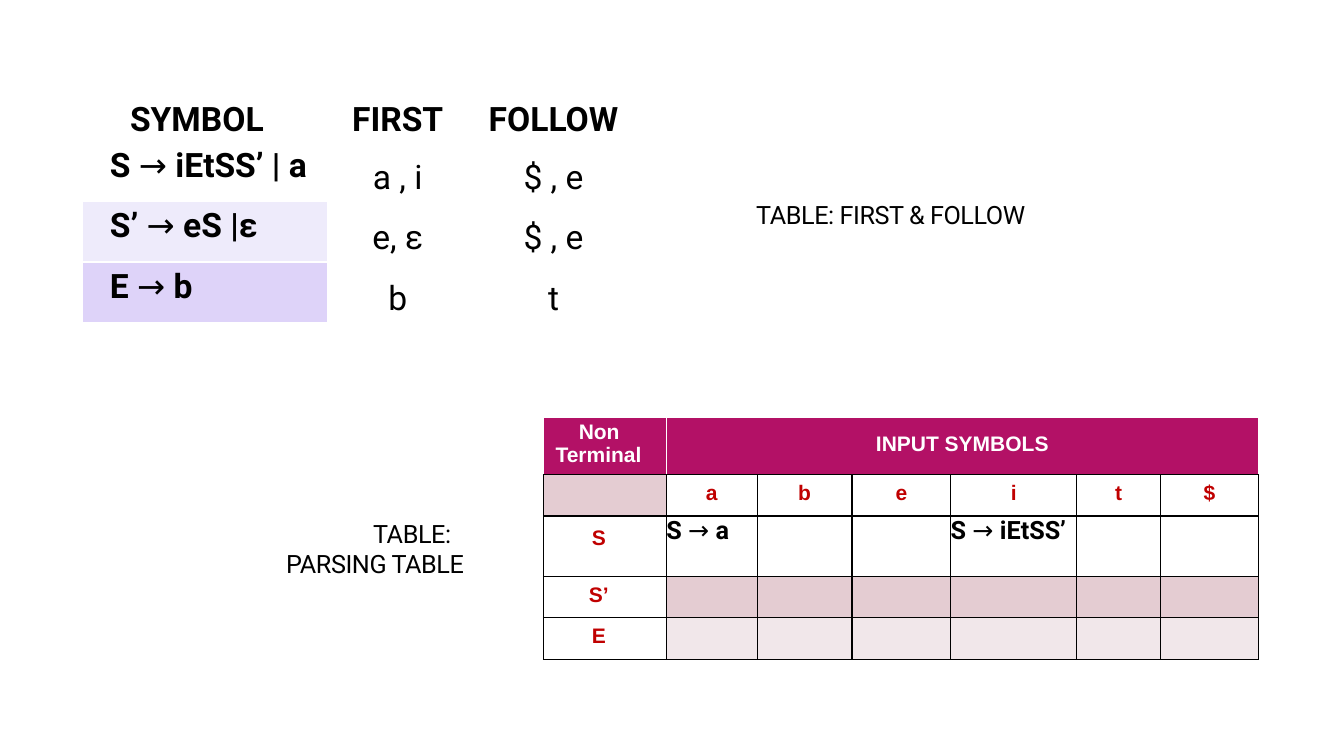
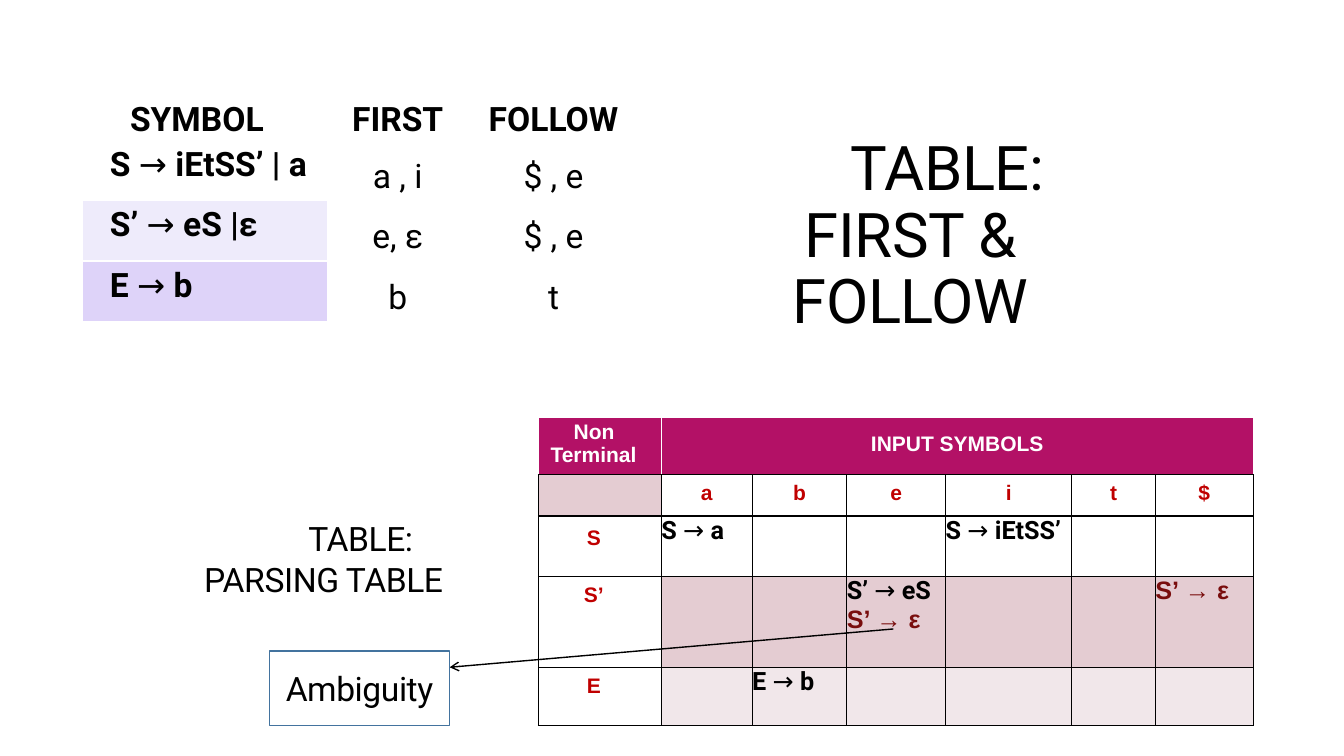
from dataclasses import dataclass

from lxml import etree
from pptx import Presentation
from pptx import util as u
from pptx.dml import color
from pptx.enum import shapes, text
from pptx.oxml import ns

# ---------- Content ----------
CAPTION_FIRST = "TABLE: FIRST & FOLLOW"
CAPTION_PARSING = "TABLE: PARSING TABLE"
SETS_HEADER = ["SYMBOL", "FIRST", "FOLLOW"]
SETS_ROWS = [
    ("S → iEtSS’ | a", "a , i", "$ , e"),
    ("S’ → eS |ε", "e, ε", "$ , e"),
    ("E → b", "b", "t"),
]
SETS_COLUMNS = [2.43, 1.39, 1.7]
SETS_HEIGHTS = [0.47, 0.6, 0.6, 0.6]

TERMINALS = ["a", "b", "e", "i", "t", "$"]
NONTERMINALS = ["S", "S’", "E"]
PARSING_COLUMNS = [1.22, 0.9, 0.94, 0.98, 1.25, 0.83, 0.97]

# Each production is (text, is it an epsilon rule)
START_RULES = {("S", "a"): [("S → a", False)],
               ("S", "i"): [("S → iEtSS’", False)]}
FULL_RULES = {**START_RULES,
              ("S’", "e"): [("S’ → eS", False), ("S’ → ε", True)],
              ("S’", "$"): [("S’ → ε", True)],
              ("E", "b"): [("E → b", False)]}

SLIDES = [
    dict(title_box=(5.22, 1.98, 5.86, 0.32), title_size=18,
         caption_box=(2.09, 5.13, 2.62, 0.62), caption_size=18,
         sets_at=(0.82, 0.93), parsing_at=(5.39, 4.14), rules=START_RULES,
         parsing_heights=[0.57, 0.41, 0.6, 0.41, 0.41]),
    dict(title_box=(6.35, 1.94, 4.72, 0.82), title_size=44,
         caption_box=(1.07, 5.13, 3.64, 0.82), caption_size=24,
         sets_at=(0.82, 0.92), parsing_at=(5.34, 4.14), rules=FULL_RULES,
         parsing_heights=[0.57, 0.41, 0.6, 0.9, 0.58],
         ambiguity=dict(label="Ambiguity", box=(2.67, 6.46, 1.79, 0.74),
                        arrow=(8.86, 6.24, 4.46, 6.62))),
]


# ---------- Theme ----------
@dataclass(frozen=True)
class Theme:
    sans: str = "Roboto"
    label: str = "Arial"
    ink: str = "000000"
    white: str = "FFFFFF"
    header: str = "B31166"
    symbol: str = "C00000"
    epsilon: str = "790D0D"
    rose: str = "E4CCD2"
    pale_rose: str = "F1E7EA"
    lilac: str = "EEEBFB"
    violet: str = "DED3F9"
    outline: str = "43739E"
    sets_size: int = 24
    rule_size: int = 18
    label_size: int = 15


T = Theme()
LEFT, CENTER = text.PP_ALIGN.LEFT, text.PP_ALIGN.CENTER
SETS_FILLS = [None, T.lilac, T.violet]
PARSING_FILLS = [None, T.rose, T.pale_rose]


# ---------- Text ----------
def rgb(value):
    return color.RGBColor.from_string(value)


def add_run(paragraph, words, size, ink=T.ink, font=T.sans, bold=False, spacing=0):
    run = paragraph.add_run()
    run.text = words
    run.font.size, run.font.name, run.font.bold = u.Pt(size), font, bold
    run.font.color.rgb = rgb(ink)
    if spacing:
        run.font._element.set("spc", str(spacing))


def add_production(paragraph, rule, size, ink=T.ink, font=T.sans):
    """Bold symbols around a regular arrow."""
    head, body = rule.split("→ ")
    for words, bold in ((head, True), ("→ ", False), (body, True)):
        add_run(paragraph, words, size, ink, font, bold)


def set_indent(paragraph, left, first):
    properties = paragraph._p.get_or_add_pPr()
    properties.set("marL", str(u.Inches(left)))
    properties.set("indent", str(u.Inches(first)))


def fill_caption(frame, words, size):
    """Centred caption whose first line is set in further."""
    frame.word_wrap = True
    frame.auto_size = text.MSO_AUTO_SIZE.SHAPE_TO_FIT_TEXT
    frame.margin_left = frame.margin_right = frame.margin_bottom = 0
    frame.margin_top = u.Inches(0.01)
    paragraph = frame.paragraphs[0]
    set_indent(paragraph, 0.64, 0.73)
    paragraph.alignment = CENTER
    add_run(paragraph, words, size, spacing=-30)
    return paragraph


# ---------- Tables ----------
def set_borders(cell, left, right, top, bottom):
    properties = cell._tc.get_or_add_tcPr()
    sides = zip(("a:lnL", "a:lnR", "a:lnT", "a:lnB"), (left, right, top, bottom))
    for place, (tag, ink) in enumerate(sides):
        line = etree.Element(ns.qn(tag), w=str(u.Pt(1)))
        solid = etree.SubElement(line, ns.qn("a:solidFill"))
        etree.SubElement(solid, ns.qn("a:srgbClr"), val=ink)
        properties.insert(place, line)


def format_cell(cell, fill=None, top=0, left=0, right=0, align=LEFT):
    """Set fill, insets and alignment; return the first paragraph."""
    if fill:
        cell.fill.solid()
        cell.fill.fore_color.rgb = rgb(fill)
    else:
        cell.fill.background()
    cell.margin_top, cell.margin_bottom = u.Inches(top), 0
    cell.margin_left, cell.margin_right = u.Inches(left), u.Inches(right)
    paragraph = cell.text_frame.paragraphs[0]
    paragraph.alignment = align
    return paragraph


def add_grid(slide, at, widths, heights):
    box = [u.Inches(v) for v in (*at, sum(widths), sum(heights))]
    grid = slide.shapes.add_table(len(heights), len(widths), *box).table
    grid.first_row = grid.horz_banding = False
    for column, width in zip(grid.columns, widths):
        column.width = u.Inches(width)
    for row, height in zip(grid.rows, heights):
        row.height = u.Inches(height)
    return grid


def add_sets_table(slide, at):
    grid = add_grid(slide, at, SETS_COLUMNS, SETS_HEIGHTS)
    for c, heading in enumerate(SETS_HEADER):
        left, align = (0.47, LEFT) if c == 0 else (0, CENTER)
        paragraph = format_cell(grid.cell(0, c), top=0.07, left=left, align=align)
        add_run(paragraph, heading, T.sets_size, bold=True)
    for r, (rule, *sets) in enumerate(SETS_ROWS, 1):
        paragraph = format_cell(grid.cell(r, 0), SETS_FILLS[r - 1], top=0.05, left=0.27)
        add_production(paragraph, rule, T.sets_size)
        for c, members in enumerate(sets, 1):
            paragraph = format_cell(grid.cell(r, c), top=0.17, align=CENTER)
            add_run(paragraph, members, T.sets_size)
    for cell in grid.iter_cells():
        set_borders(cell, *[T.white] * 4)


def add_label(paragraph, words, ink=T.symbol):
    add_run(paragraph, words, T.label_size, ink, T.label, bold=True)


def add_parsing_table(slide, at, heights, rules):
    grid = add_grid(slide, at, PARSING_COLUMNS, heights)

    # Header band
    grid.cell(0, 1).merge(grid.cell(0, len(TERMINALS)))
    corner = format_cell(grid.cell(0, 0), T.header, top=0.03)
    set_indent(corner, 0.12, 0.23)
    add_label(corner, "Non Terminal", T.white)
    band = format_cell(grid.cell(0, 1), T.header, top=0.15, align=CENTER)
    add_label(band, "INPUT SYMBOLS", T.white)

    # Terminals
    format_cell(grid.cell(1, 0), T.rose)
    for c, terminal in enumerate(TERMINALS, 1):
        add_label(format_cell(grid.cell(1, c), top=0.07, align=CENTER), terminal)

    # Productions
    for r, (nonterminal, fill) in enumerate(zip(NONTERMINALS, PARSING_FILLS), 2):
        top = 0.1 if r == 2 else 0.07
        add_label(format_cell(grid.cell(r, 0), top=top, right=0.12, align=CENTER),
                  nonterminal)
        for c, terminal in enumerate(TERMINALS, 1):
            cell = grid.cell(r, c)
            paragraph = format_cell(cell, fill)
            for i, (rule, is_epsilon) in enumerate(rules.get((nonterminal, terminal), [])):
                if i:
                    paragraph = cell.text_frame.add_paragraph()
                ink, font = (T.epsilon, T.label) if is_epsilon else (T.ink, T.sans)
                add_production(paragraph, rule, T.rule_size, ink, font)

    for r in range(len(heights)):
        for c in range(len(PARSING_COLUMNS)):
            edge = T.ink if r else T.white
            set_borders(grid.cell(r, c), edge, edge, edge, T.ink)


# ---------- Ambiguity callout ----------
def add_ambiguity(slide, label, box, arrow):
    pointer = slide.shapes.add_connector(
        shapes.MSO_CONNECTOR.STRAIGHT, *[u.Inches(v) for v in arrow])
    pointer.line.width = u.Pt(1)
    pointer.line.color.rgb = rgb(T.ink)
    etree.SubElement(pointer.line._get_or_add_ln(), ns.qn("a:tailEnd"), type="arrow")
    etree.SubElement(pointer._element.spPr, ns.qn("a:effectLst"))

    callout = slide.shapes.add_shape(
        shapes.MSO_SHAPE.RECTANGLE, *[u.Inches(v) for v in box])
    callout.shadow.inherit = False
    callout.fill.solid()
    callout.fill.fore_color.rgb = rgb(T.white)
    callout.line.color.rgb = rgb(T.outline)
    callout.line.width = u.Pt(1)
    callout.text_frame.vertical_anchor = text.MSO_ANCHOR.MIDDLE
    paragraph = callout.text_frame.paragraphs[0]
    paragraph.alignment = CENTER
    add_run(paragraph, label, T.sets_size, spacing=-30)


# ---------- Slides ----------
def build_slide(deck, content):
    slide = deck.slides.add_slide(deck.slide_layouts[5])
    caption = slide.shapes.add_textbox(*[u.Inches(v) for v in content["caption_box"]])
    fill_caption(caption.text_frame, CAPTION_PARSING, content["caption_size"])

    title = slide.shapes.title
    title.left, title.top, title.width, title.height = [
        u.Inches(v) for v in content["title_box"]]
    title.text_frame.vertical_anchor = text.MSO_ANCHOR.MIDDLE
    heading = fill_caption(title.text_frame, CAPTION_FIRST, content["title_size"])
    heading.line_spacing = 0.9

    add_sets_table(slide, content["sets_at"])
    add_parsing_table(slide, content["parsing_at"], content["parsing_heights"],
                      content["rules"])
    if "ambiguity" in content:
        add_ambiguity(slide, **content["ambiguity"])


def main():
    deck = Presentation()
    deck.slide_width, deck.slide_height = u.Inches(13.33), u.Inches(7.5)
    for content in SLIDES:
        build_slide(deck, content)
    deck.save("out.pptx")


if __name__ == "__main__":
    main()
